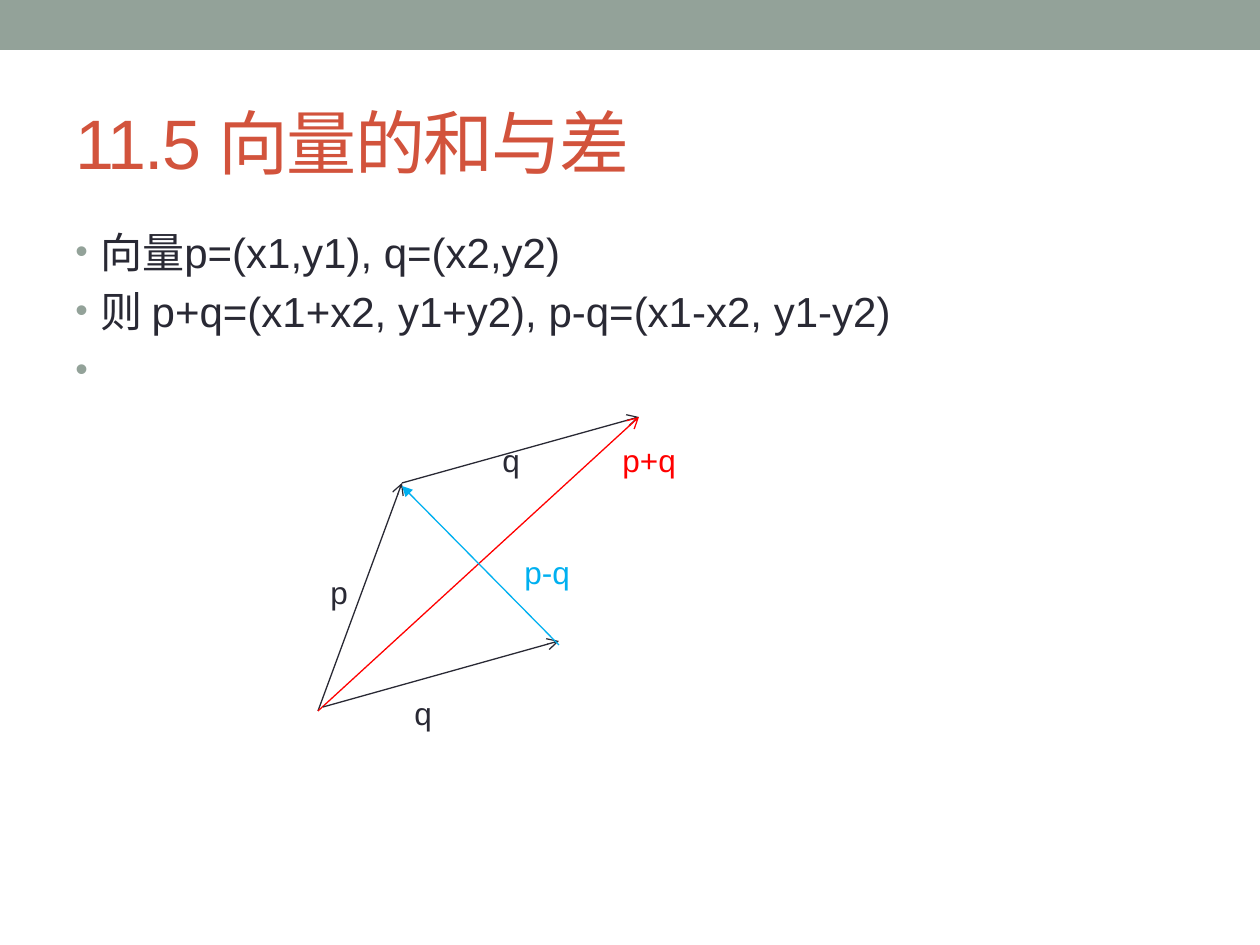
from pptx import Presentation
from pptx.dml.color import RGBColor
from pptx.enum.shapes import MSO_CONNECTOR, MSO_SHAPE
from pptx.enum.text import MSO_ANCHOR
from pptx.oxml.ns import qn
from pptx.util import Pt
from lxml import etree

LINE = MSO_CONNECTOR.STRAIGHT
RECT = MSO_SHAPE.RECTANGLE
TOP, MID = MSO_ANCHOR.TOP, MSO_ANCHOR.MIDDLE
HUES = {"sage": "93A299", "rust": "D2533C", "ink": "292934",
        "red": "FF0000", "blue": "00B0F0"}


def px(n):
    return round(n * 914400 / 126)


def hue(name):
    return RGBColor.from_string(HUES[name])


def sub(node, tag, **attrs):
    return etree.SubElement(node, qn(tag), attrs)


class Deck:
    """Holds the style and the current slide."""

    def __init__(self, wide, high, face):
        self.show = Presentation()
        self.show.slide_width, self.show.slide_height = px(wide), px(high)
        self.face = face
        self.slide = self.show.slides.add_slide(self.show.slide_layouts[6])

    def bar(self, x, y, w, h, color):
        shape = self.slide.shapes.add_shape(RECT, px(x), px(y), px(w), px(h))
        shape.shadow.inherit = False
        shape.fill.solid()
        shape.fill.fore_color.rgb = hue(color)
        shape.line.fill.background()

    def text(self, x, y, w, h, lines, size, color,
             anchor=TOP, wrap=True, bullet=None, track=0):
        box = self.slide.shapes.add_textbox(px(x), px(y), px(w), px(h))
        frame = box.text_frame
        frame.word_wrap = wrap
        frame.vertical_anchor = anchor
        frame.text = "\n".join(lines)
        for i, para in enumerate(frame.paragraphs):
            if bullet:
                self.bullet(para, bullet)
                if i:
                    para.space_before = Pt(4.8)
            font = para.font
            font.name, font.size = self.face, Pt(size)
            font.color.rgb = hue(color)
            if track:
                para._p.pPr.get_or_add_defRPr().set("spc", str(track))

    def bullet(self, para, color):
        props = para._p.get_or_add_pPr()
        props.set("marL", str(px(25)))
        props.set("indent", str(-px(25)))
        sub(sub(props, "a:buClr"), "a:srgbClr", val=HUES[color])
        sub(props, "a:buSzPct", val="85000")
        sub(props, "a:buFont", typeface=self.face)
        sub(props, "a:buChar", char="•")

    def arrow(self, start, end, color, head="arrow"):
        ends = [px(n) for n in (*start, *end)]
        line = self.slide.shapes.add_connector(LINE, *ends)
        line.line.color.rgb = hue(color)
        line.line.width = Pt(0.75)
        sub(line.line._get_or_add_ln(), "a:tailEnd", type=head)
        sub(line._element.spPr, "a:effectLst")

    def label(self, x, y, w, word, color="ink"):
        self.text(x, y, w, 50, [word], 18, color, wrap=False)


def main():
    deck = Deck(1260, 945, "Arial")
    deck.bar(0, 0, 1260, 50, "sage")
    deck.text(63, 73, 1134, 136, ["11.5 向量的和与差"], 40, "rust",
              anchor=MID, track=-100)
    deck.text(63, 220, 1134, 672,
              ["向量p=(x1,y1), q=(x2,y2)",
               "则 p+q=(x1+x2, y1+y2), p-q=(x1-x2, y1-y2)",
               " "], 24, "ink", bullet="sage")

    base, peak, sum_end = (318, 711), (402, 483), (639, 417)
    deck.arrow(base, peak, "ink")
    deck.arrow(peak, sum_end, "ink")
    deck.label(318, 567, 43, "p")
    deck.label(490, 435, 43, "q")
    deck.arrow(base, sum_end, "red")
    deck.label(610, 435, 79, "p+q", "red")
    deck.arrow((323, 707), (559, 641), "ink")
    deck.label(402, 688, 43, "q")
    deck.arrow((559, 645), (402, 486), "blue", "triangle")
    deck.label(512, 547, 72, "p-q", "blue")
    deck.show.save("out.pptx")


if __name__ == "__main__":
    main()
